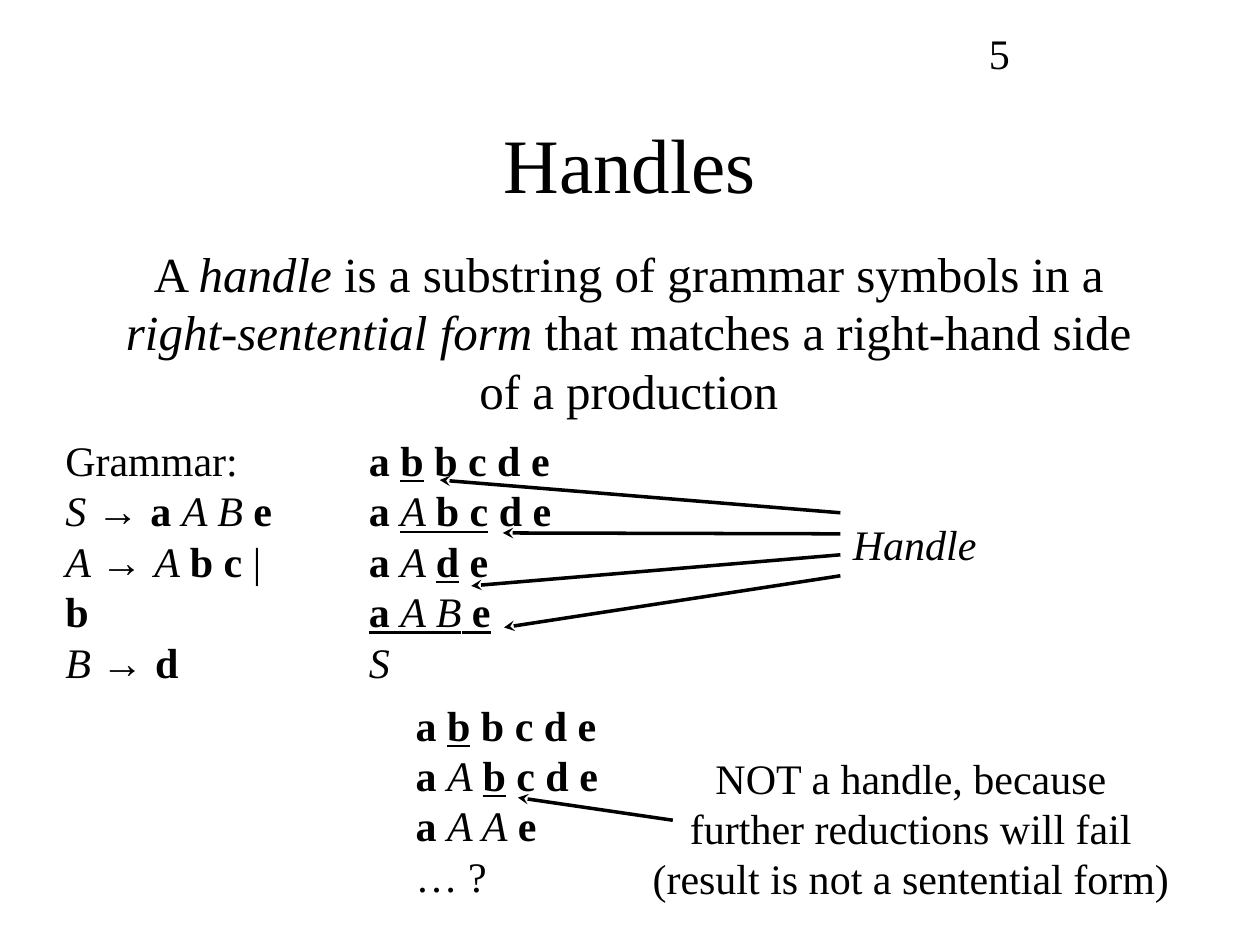
from lxml import etree
from pptx import Presentation
from pptx.dml.color import RGBColor
from pptx.enum.shapes import MSO_CONNECTOR
from pptx.enum.text import MSO_ANCHOR, PP_ALIGN
from pptx.oxml.ns import qn
from pptx.util import Inches, Pt

BLACK = RGBColor(0x00, 0x00, 0x00)
SERIF, SANS = "Times New Roman", "Arial"
LEFT, CENTER = PP_ALIGN.LEFT, PP_ALIGN.CENTER
MIDDLE = MSO_ANCHOR.MIDDLE
STRAIGHT = MSO_CONNECTOR.STRAIGHT

ARROW = ("→ ", "s")

# A line is a list of (text, style): b bold, i italic, u underlined, s sans.
DEFINITION = [[
    [("A ", ""), ("handle", "i"), (" is a substring of grammar symbols in a", "")],
    [("right-sentential form", "i"), (" that matches a right-hand side", "")],
    [("of a production", "")],
]]
GRAMMAR = [[
    [("Grammar:", "")],
    [("S ", "i"), ARROW, ("a ", "b"), ("A B ", "i"), ("e", "b")],
    [("A ", "i"), ARROW, ("A ", "i"), ("b c ", "b"), ("| ", ""), ("b", "b")],
    [("B ", "i"), ARROW, ("d", "b")],
]]
FIRST = [("a ", "b"), ("b", "bu"), (" b c d e", "b")]
GOOD = [[
    FIRST,
    [("a ", "b"), ("A ", "iu"), ("b c", "bu"), (" d e", "b")],
    [("a ", "b"), ("A ", "i"), ("d", "bu"), (" e", "b")],
    [("a ", "bu"), ("A B", "iu"), (" e", "bu")],
    [("S", "i")],
]]
BAD = [[
    FIRST,
    [("a ", "b"), ("A ", "i"), ("b", "bu"), (" c d e", "b")],
    [("a ", "b"), ("A A", "i"), (" e", "b")],
    [("… ?", "")],
]]
REASON = [
    [[("NOT a handle, because", "")], [("further reductions will fail", "")]],
    [[("(result is not a sentential form)", "")]],
]


def set_font(para, size, align):
    para.alignment = align
    font = para.font
    font.name, font.size = SERIF, Pt(size)
    font.color.rgb = BLACK


def add_line(para, line):
    for text, style in line:
        run = para.add_run()
        run.text = text
        font = run.font
        if "b" in style:
            font.bold = True
        if "i" in style:
            font.italic = True
        if "u" in style:
            font.underline = True
        if "s" in style:
            font.name = SANS


def add_text(slide, box, paras, size=24, align=LEFT, wrap=False):
    """Place paragraphs, each a list of lines, in a text box."""
    frame = slide.shapes.add_textbox(*map(Inches, box)).text_frame
    frame.word_wrap = wrap
    for num, lines in enumerate(paras):
        para = frame.add_paragraph() if num else frame.paragraphs[0]
        set_font(para, size, align)
        for row, line in enumerate(lines):
            if row:
                para.add_line_break()
            add_line(para, line)


def add_arrow(slide, start, end):
    arrow = slide.shapes.add_connector(STRAIGHT, *map(Inches, start + end))
    arrow.line.color.rgb = BLACK
    arrow.line.width = Pt(2)
    props = arrow.element.spPr
    etree.SubElement(props.find(qn("a:ln")), qn("a:tailEnd"), type="stealth")
    etree.SubElement(props, qn("a:effectLst"))


def add_title(slide, box, text):
    title = slide.shapes.title
    title.left, title.top, title.width, title.height = map(Inches, box)
    frame = title.text_frame
    frame.text = text
    frame.vertical_anchor = MIDDLE
    set_font(frame.paragraphs[0], 44, CENTER)


def add_good(slide, box):
    """Reduction steps, with the label and its arrows to each handle."""
    left, top, _, _ = box
    add_text(slide, (left, top, 1.65, 2.1), GOOD)
    tag = left + 3.84
    add_text(slide, (tag, top + 0.67, 1.18, 0.5), [[[("Handle", "i")]]])
    tips = [(0.66, 0.41), (1.16, 0.83), (0.91, 1.25), (1.17, 1.58)]
    for num, (x, y) in enumerate(tips):
        start = (tag, top + 0.67 + num * 0.5 / 3)
        add_arrow(slide, start, (left + x, top + y))


def add_bad(slide, box):
    """Failing reduction, with the reason beside it."""
    left, top, _, _ = box
    add_text(slide, (left, top, 1.65, 1.7), BAD)
    add_text(slide, (left + 1.88, top + 0.42, 4.3, 1.3), REASON, align=CENTER)
    add_arrow(slide, (left + 2.14, top + 1.01), (left + 0.91, top + 0.83))


def main():
    deck = Presentation()
    deck.slide_width, deck.slide_height = Inches(10), Inches(7.5)
    slide = deck.slides.add_slide(deck.slide_layouts[5])
    add_title(slide, (0.75, 0.67, 8.5, 1.25), "Handles")
    add_text(slide, (0.9, 1.88, 8.18, 1.5), DEFINITION, 28, CENTER)
    add_text(slide, (0.42, 3.4, 1.96, 1.7), GRAMMAR, wrap=True)
    add_good(slide, (2.83, 3.4, 5.02, 2.1))
    add_bad(slide, (3.2, 5.5, 6.18, 1.72))
    add_text(slide, (7.75, 0.17, 2.08, 0.49), [[[("5", "")]]], wrap=True)
    deck.save("out.pptx")


if __name__ == "__main__":
    main()
